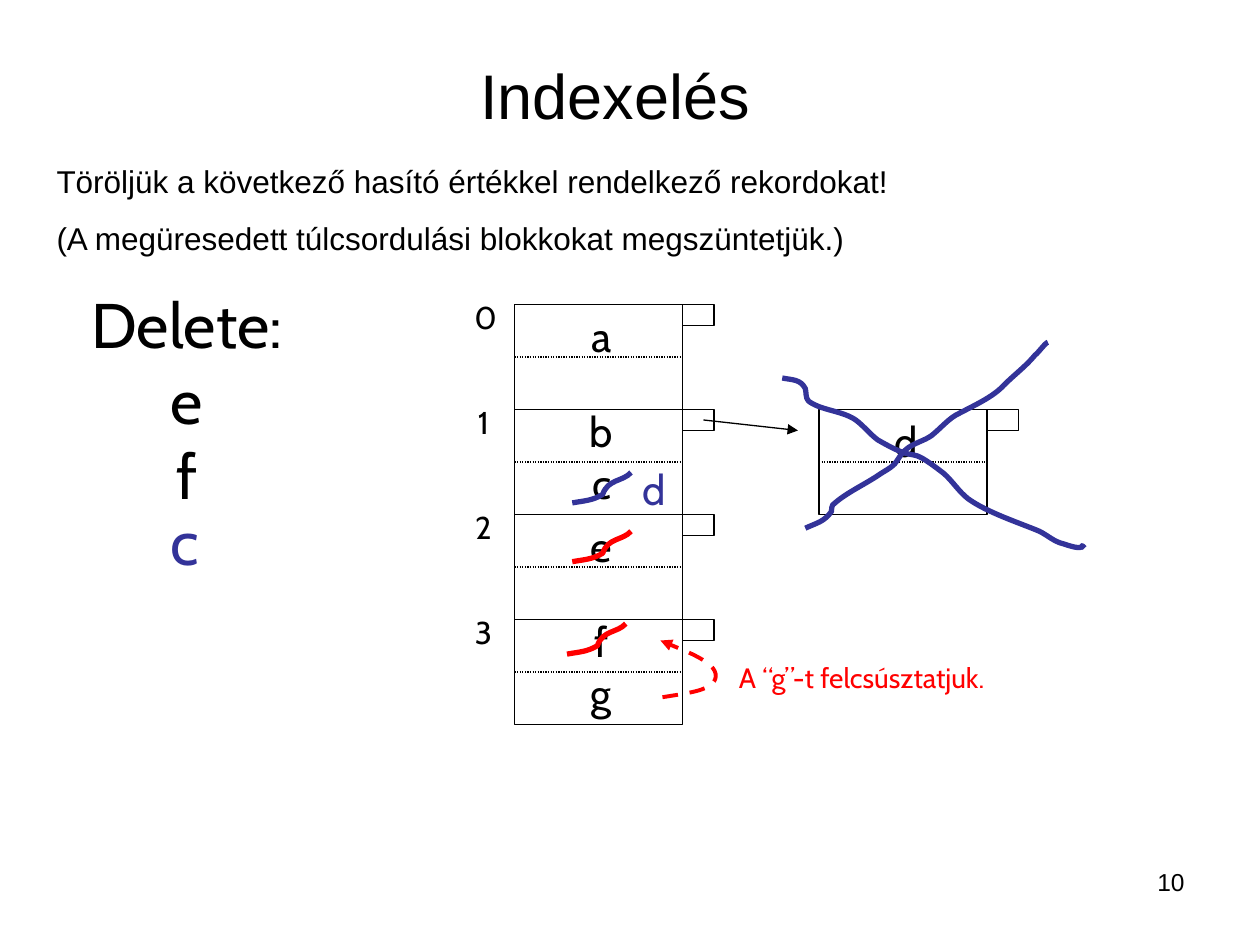
from lxml.etree import SubElement
from pptx import Presentation
from pptx.dml.color import RGBColor
from pptx.enum.dml import MSO_LINE as Dash
from pptx.enum.shapes import MSO_CONNECTOR as Link, MSO_SHAPE as Preset
from pptx.enum.text import MSO_ANCHOR as Anchor, MSO_AUTO_SIZE as Fit, PP_ALIGN as Align
from pptx.oxml.ns import qn
from pptx.util import Inches, Pt

BLACK = RGBColor(0x00, 0x00, 0x00)
WHITE = RGBColor(0xFF, 0xFF, 0xFF)
RED = RGBColor(0xFF, 0x00, 0x00)
BLUE = RGBColor(0x33, 0x33, 0x99)
COLUMNS, ROWS = 120, 90
BUCKET_WIDTH, BUCKET_HEIGHT = 16, 10

STRIKE = [(0, 0), (1.1, -0.2), (1.9, -0.2), (2.9, -0.8),
          (3.4, -2.3), (4.8, -2), (5.6, -2.9)]
RISING = [(76.7, 50.3), (77.8, 49.8), (78.5, 49.7), (79.2, 48.7),
          (79.2, 48.5), (79.2, 48.2), (79.3, 48.1),
          (80.6, 46.9), (82.3, 46.2), (83.9, 45.1),
          (84.2, 44.9), (84.8, 44.6), (85.2, 44.2),
          (85.6, 43.7), (85.8, 43.2), (86.3, 42.8),
          (87, 42.2), (88, 42), (88.7, 41.5),
          (89.6, 40.8), (90.4, 39.8), (91.3, 39.4),
          (92.8, 38.6), (94.6, 37.8), (95.6, 36.7),
          (96.7, 35.6), (97.7, 34.9), (98.6, 33.8),
          (98.8, 33.7), (99.6, 32.6), (99.8, 32.6)]
FALLING = [(74.5, 36), (75.5, 36.2), (76.2, 36.1), (76.7, 37),
           (76.8, 37.3), (76.7, 37.9), (77, 38.2),
           (78.2, 39.1), (80.2, 39.1), (81.5, 40),
           (82.3, 40.6), (82.8, 41.3), (83.6, 41.9),
           (88.1, 44.5), (85.9, 42), (89.9, 45.1),
           (90.7, 45.8), (91.3, 46.8), (92.2, 47.5),
           (94, 48.8), (97.1, 49.8), (99, 50.6),
           (99.8, 51), (100.4, 51.6), (101.3, 51.8),
           (103.9, 52.7), (102.6, 51.5), (103.3, 52.2)]
SLIDE_UP = [(63.1, 66.4), (64.9, 66.1), (66.7, 65.9), (67.6, 65.3),
            (68.3, 64.8), (68.4, 64.1), (67.7, 63.4),
            (66.8, 62.6), (64.8, 61.8), (62.9, 61)]


def write(box, text, font="Cabin", size=24, color=BLACK, align=Align.CENTER,
          anchor=Anchor.MIDDLE, wrap=False, fit=Fit.SHAPE_TO_FIT_TEXT, before=0):
    """Fill a box; newlines part paragraphs and vertical tabs part lines."""
    frame = box.text_frame
    frame.text = text
    frame.word_wrap, frame.vertical_anchor, frame.auto_size = wrap, anchor, fit
    for para in frame.paragraphs:
        para.alignment, para.space_before = align, Pt(before)
        for span in para.runs:
            span.font.name, span.font.size = font, Pt(size)
            span.font.color.rgb = color
    for properties in box.element.iter(qn("a:rPr")):
        properties.set("kern", "0")


class Board:
    """Draws elements on one slide, measured in grid columns and rows."""

    def __init__(self, deck):
        """Add a title-only page and derive its grid."""
        self.page = deck.slides.add_slide(deck.slide_layouts[5])
        self.column = deck.slide_width / COLUMNS
        self.row = deck.slide_height / ROWS

    def place(self, column, row):
        """Convert grid lengths to slide lengths."""
        return round(column * self.column), round(row * self.row)

    def outline(self, shape, color=BLACK, width=0.75, dash=None, arrow=False):
        """Style a stroke and clear the shadow."""
        shape.line.color.rgb, shape.line.width = color, Pt(width)
        if dash:
            shape.line.dash_style = dash
        properties = shape.element.spPr
        if arrow:
            SubElement(properties.find(qn("a:ln")), qn("a:tailEnd"), type="triangle")
        SubElement(properties, qn("a:effectLst"))

    def title(self, text, left, top, width, height):
        """Move and fill the title placeholder."""
        box = self.page.shapes.title
        box.left, box.top = self.place(left, top)
        box.width, box.height = self.place(width, height)
        write(box, text, font="Arial", size=36, wrap=True, fit=Fit.NONE)

    def text(self, text, left, top, width, height, indent=1.2, **style):
        """Add a text box."""
        box = self.page.shapes.add_textbox(*self.place(left, top),
                                           *self.place(width, height))
        box.text_frame.margin_left = round(indent * self.column)
        write(box, text, **style)

    def label(self, text, center, middle, width, height=6, **style):
        """Add a short text centred on a point."""
        self.text(text, center - width / 2, middle - height / 2, width, height, **style)

    def box(self, left, top, width, height):
        """Add a white outlined rectangle."""
        shape = self.page.shapes.add_shape(Preset.RECTANGLE, *self.place(left, top),
                                           *self.place(width, height))
        shape.fill.solid()
        shape.fill.fore_color.rgb = WHITE
        self.outline(shape)

    def line(self, start, end, **style):
        """Add a straight line."""
        link = self.page.shapes.add_connector(Link.STRAIGHT, *self.place(*start),
                                              *self.place(*end))
        self.outline(link, **style)

    def curve(self, points, **style):
        """Add an open chain of cubic curves."""
        start, *others = [self.place(*point) for point in points]
        builder = self.page.shapes.build_freeform(*start)
        builder.add_line_segments(others, close=False)
        shape = builder.convert_to_shape()
        segments = list(shape.element.iter(qn("a:lnTo")))
        for first in range(0, len(segments), 3):
            group = segments[first:first + 3]
            bend = SubElement(group[0].getparent(), qn("a:cubicBezTo"))
            for segment in group:
                bend.append(segment[0])
                segment.getparent().remove(segment)
        shape.fill.background()
        self.outline(shape, **style)

    def strike(self, left, bottom, color):
        """Cross out a record with a short wavy stroke."""
        self.curve([(left + x, bottom + y) for x, y in STRIKE], color=color, width=3)

    def bucket(self, left, top):
        """Add a two-record block with its pointer field."""
        right, middle = left + BUCKET_WIDTH, top + BUCKET_HEIGHT / 2
        self.box(left, top, BUCKET_WIDTH, BUCKET_HEIGHT)
        self.box(right, top, 3, 2)
        self.line((left, middle), (right, middle), dash=Dash.ROUND_DOT)


def main():
    """Build the hash index deletion slide."""
    deck = Presentation()
    deck.slide_width, deck.slide_height = Inches(10), Inches(7.5)
    board = Board(deck)

    for number in range(4):
        board.bucket(49, 29 + number * BUCKET_HEIGHT)
    board.text("0\n1\n2\n3", 44, 27.7, 4.1, 35, size=18, before=38.5)
    board.bucket(78, 39)

    records = [("a", 57.25, 32, 4.6), ("b", 57.25, 41, 4.8), ("c", 57.3, 46, 4.3),
               ("e", 57.3, 52, 4.7), ("d", 86.3, 42, 4.8), ("f", 57.3, 61, 3.7),
               ("g", 57.25, 66, 4.8)]
    for record, center, middle, width in records:
        board.label(record, center, middle, width)
    board.line((67, 40), (76, 41), arrow=True)

    board.title("Indexelés", 9, 8, 99.2, 2)
    board.text("Delete:\ve\vf", 6.7, 26.6, 22.2, 22.8, size=36)

    board.strike(54.5, 53.5, RED)
    board.strike(54, 62.3, RED)
    board.text("A “g”-t felcsúsztatjuk.", 55.6, 62.3, 41.6, 4.4, indent=12.5,
               size=16, color=RED, wrap=True)
    board.curve(SLIDE_UP, color=RED, width=2.25, dash=Dash.DASH, arrow=True)

    board.label("c", 17.65, 51.5, 5.3, 8.4, size=36, color=BLUE)
    board.strike(54.5, 47.9, BLUE)
    board.label("d", 62.3, 46.5, 4.8, color=BLUE)
    for stroke in (RISING, FALLING):
        board.curve(stroke, color=BLUE, width=3)

    board.text("Töröljük a következő hasító értékkel rendelkező rekordokat!\n"
               "(A megüresedett túlcsordulási blokkokat megszüntetjük.)",
               4.2, 14.8, 104, 10.3, font="Arial", size=18, align=Align.LEFT,
               anchor=Anchor.TOP, wrap=True, before=11.2)
    board.text("10", 86, 82, 28, 6.2, font="Arial", size=14, align=Align.RIGHT,
               anchor=Anchor.TOP, wrap=True, fit=Fit.NONE)
    deck.save("out.pptx")


if __name__ == "__main__":
    main()
